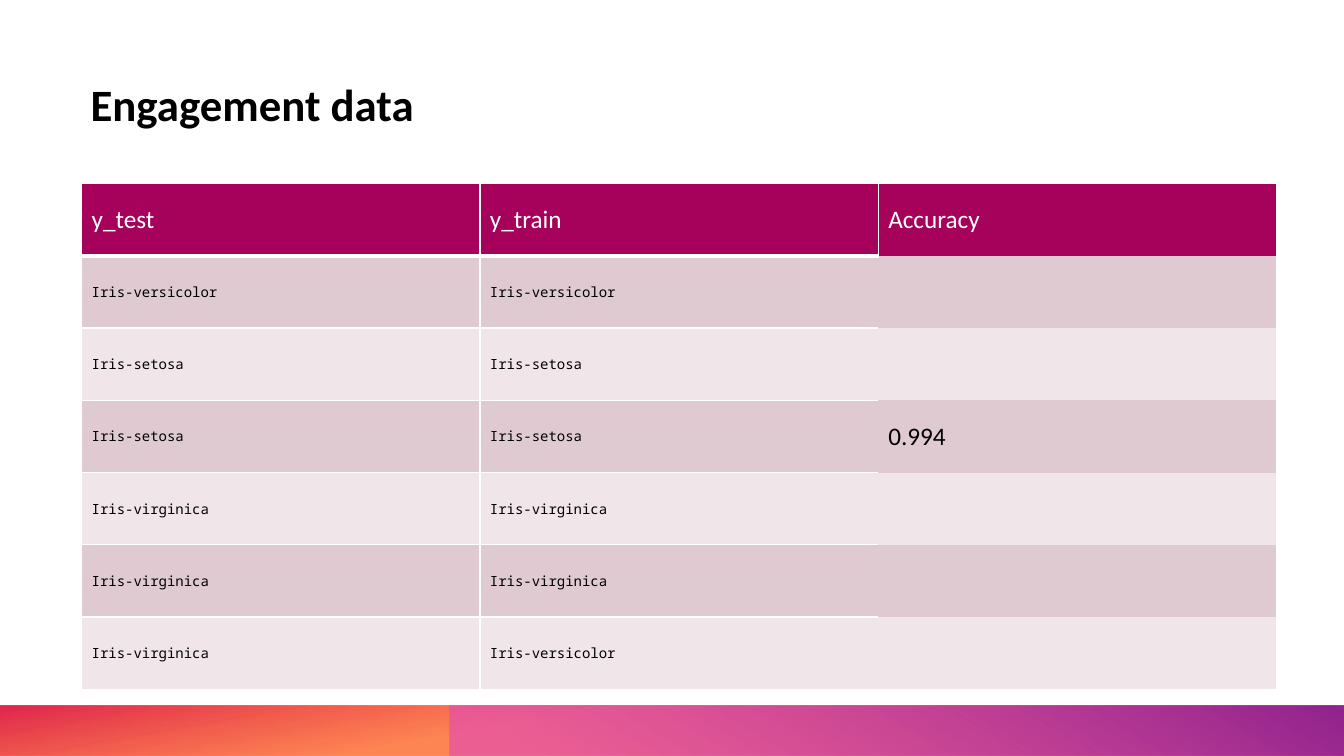
from dataclasses import dataclass

from lxml import etree
from pptx import Presentation
from pptx.dml.color import RGBColor as RGB
from pptx.enum.shapes import MSO_SHAPE as SHAPE
from pptx.enum.text import MSO_ANCHOR as ANCHOR
from pptx.oxml import parse_xml
from pptx.oxml.ns import nsdecls, qn
from pptx.util import Inches, Pt


@dataclass(frozen=True)
class Theme:
    sans: str = "Calibri"
    mono: str = "Noto Sans Mono"
    black: str = "000000"
    white: str = "FFFFFF"
    head: str = "A6025C"
    bands: tuple = ("E0CAD1", "F0E6E9")
    # Gradient stops: position, colour, opacity in percent
    warm: tuple = ((0, "FE4A00", 67), (62, "FE4A00", 67), (100, "DA002F", 85))
    cool: tuple = ((0, "E349BB", 62), (9, "E349BB", 62), (99, "92248E", 100), (100, "92248E", 100))
    title: int = 32
    body: int = 18
    code: int = 10


THEME = Theme()
HEADS = ("y_test", "y_train", "Accuracy")
ROWS = (
    ("Iris-versicolor", "Iris-versicolor", ""),
    ("Iris-setosa", "Iris-setosa", ""),
    ("Iris-setosa", "Iris-setosa", "0.994"),
    ("Iris-virginica", "Iris-virginica", ""),
    ("Iris-virginica", "Iris-virginica", ""),
    ("Iris-virginica", "Iris-versicolor", ""),
)


def write(frame, text, color, **style):
    """Put one line of styled text in a frame."""
    para = frame.paragraphs[0]
    run = para.add_run()
    run.text = text
    for name, value in style.items():
        setattr(run.font, name, value)
    run.font.color.rgb = RGB.from_string(color)
    return para


def add_bar(slide, left, width, stops, angle, turn=0):
    """Draw a mirrored footer bar with a gradient."""
    bar = slide.shapes.add_shape(SHAPE.RECTANGLE, left, Inches(7), width, Inches(0.5))
    bar.shadow.inherit = False
    bar.line.fill.background()
    bar.rotation = turn
    bar.fill.background()
    props = bar.fill._xPr
    props.find(qn("a:xfrm")).set("flipH", "1")
    marks = "".join(
        f'<a:gs pos="{pos * 1000}"><a:srgbClr val="{color}">'
        f'<a:alpha val="{alpha * 1000}"/></a:srgbClr></a:gs>'
        for pos, color, alpha in stops
    )
    grad = parse_xml(
        f'<a:gradFill {nsdecls("a")} rotWithShape="1"><a:gsLst>{marks}</a:gsLst>'
        f'<a:lin ang="{angle * 60000}" scaled="0"/></a:gradFill>'
    )
    props.replace(props.find(qn("a:noFill")), grad)


def add_title(slide, text):
    box = slide.shapes.add_textbox(Inches(0.8), Inches(0.77), Inches(11.85), Inches(1.05))
    frame = box.text_frame
    frame.word_wrap = True
    frame.vertical_anchor = ANCHOR.TOP
    para = write(frame, text, THEME.black, name=THEME.sans, size=Pt(THEME.title), bold=True)
    para.line_spacing = 0.9


def set_edges(cell, edges):
    """Set the cell borders; a width of 0 means no line."""
    props = cell._tc.get_or_add_tcPr()
    for spot, side in enumerate("LRTB"):
        width = edges[side]
        line = etree.Element(qn(f"a:ln{side}"), w=str(Pt(width)))
        if width:
            fill = etree.SubElement(line, qn("a:solidFill"))
            etree.SubElement(fill, qn("a:srgbClr"), val=THEME.white)
        else:
            etree.SubElement(line, qn("a:noFill"))
        props.insert(spot, line)


def find_edges(row, col):
    """Rule the first two columns, and leave the body of the last one open."""
    last = col == len(HEADS) - 1
    if row == 0:
        return {"L": 1, "R": 1, "T": 1, "B": 0 if last else 3}
    if last:
        return dict.fromkeys("LRTB", 0)
    return {"L": 1, "R": 1 if col == 0 else 0, "T": 3 if row == 1 else 1, "B": 1}


def add_grid(slide):
    lines = (HEADS, *ROWS)
    shape = slide.shapes.add_table(
        len(lines), len(HEADS), Inches(0.81), Inches(1.82), Inches(11.85), Inches(5.02)
    )
    for row, line in enumerate(lines):
        for col, text in enumerate(line):
            cell = shape.table.cell(row, col)
            cell.vertical_anchor = ANCHOR.MIDDLE
            cell.fill.solid()
            shade = THEME.bands[(row - 1) % 2] if row else THEME.head
            cell.fill.fore_color.rgb = RGB.from_string(shade)
            set_edges(cell, find_edges(row, col))
            if text:
                code = row > 0 and col < 2
                write(
                    cell.text_frame,
                    text,
                    THEME.black if row else THEME.white,
                    name=THEME.mono if code else THEME.sans,
                    size=Pt(THEME.code if code else THEME.body),
                    bold=False,
                )


def main():
    deck = Presentation()
    deck.slide_width, deck.slide_height = Inches(13.33), Inches(7.5)
    slide = deck.slides.add_slide(deck.slide_layouts[6])

    # Footer bars
    add_bar(slide, 0, Inches(13.33), THEME.warm, 100, turn=180)
    add_bar(slide, Inches(4.46), Inches(8.87), THEME.cool, 240)

    # Title and table
    add_title(slide, "Engagement data")
    add_grid(slide)

    deck.save("out.pptx")


if __name__ == "__main__":
    main()
